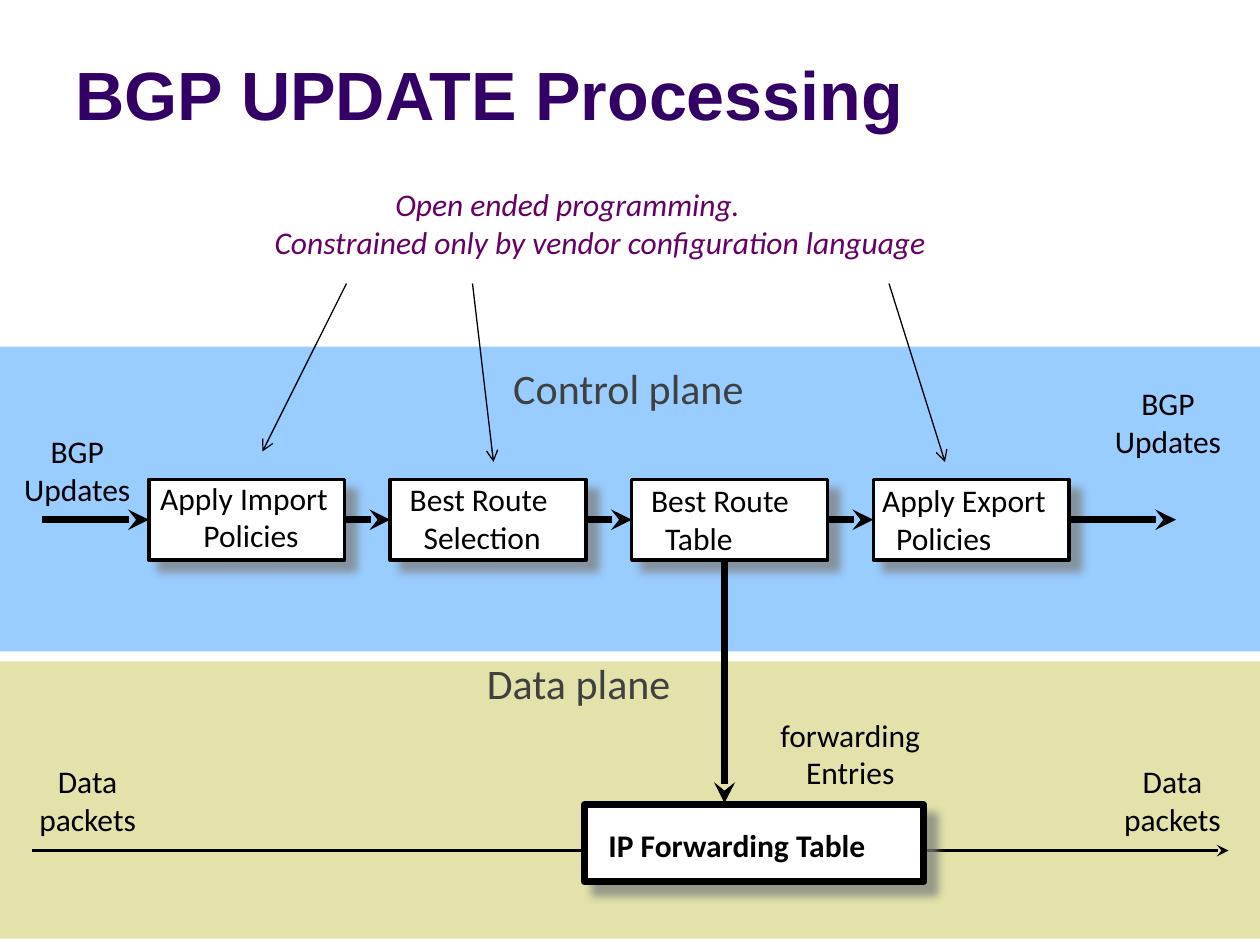
from lxml.etree import SubElement as Sub
from pptx import Presentation
from pptx.dml.color import RGBColor as RGB
from pptx.enum.shapes import MSO_CONNECTOR as Link, MSO_SHAPE as Shape
from pptx.enum.text import MSO_ANCHOR as Anchor, MSO_AUTO_SIZE as Fit, PP_ALIGN as Align
from pptx.oxml.ns import qn
from pptx.util import Pt

BLACK = RGB(0, 0, 0)
WHITE = RGB(255, 255, 255)
GRAY = RGB(0x40, 0x40, 0x40)
SHADE = RGB(0x80, 0x80, 0x80)
SKY = RGB(0x99, 0xCC, 0xFF)
SAND = RGB(0xE2, 0xE2, 0xAA)
INDIGO = RGB(0x33, 0x00, 0x66)
PLUM = RGB(0x66, 0x00, 0x66)


class Sketch:
    face = "Calibri"
    size = 18

    def __init__(self, slide):
        self.slide = slide
        self.shapes = slide.shapes

    def title(self, text, box):
        head = self.shapes.title
        head.left, head.top, head.width, head.height = map(Pt, box)
        frame = head.text_frame
        frame.text = text
        frame.auto_size = Fit.NONE
        frame.vertical_anchor = Anchor.BOTTOM
        para = frame.paragraphs[0]
        para.alignment = Align.LEFT
        self.style(para.font, "Arial", 39, INDIGO, bold=True)

    def style(self, font, face, size, color, bold=False, italic=False):
        font.name, font.size = face, Pt(size)
        font.bold, font.italic = bold, italic
        font.color.rgb = color

    def rect(self, box, fill, weight=0):
        rect = self.shapes.add_shape(Shape.RECTANGLE, *map(Pt, box))
        rect.shadow.inherit = False
        rect.fill.solid()
        rect.fill.fore_color.rgb = fill
        if weight:
            rect.line.color.rgb = BLACK
            rect.line.width = Pt(weight)
            self.shade(rect)
        else:
            rect.line.fill.background()
        return rect

    def shade(self, rect):
        glow = Sub(rect.element.spPr.find(qn("a:effectLst")), qn("a:outerShdw"),
                   blurRad=str(Pt(5)), dist=str(Pt(8.5)), dir="2700000",
                   algn="ctr", rotWithShape="0")
        tint = Sub(glow, qn("a:srgbClr"), val=str(SHADE))
        Sub(tint, qn("a:alpha"), val="75000")

    def label(self, text, box, align=Align.LEFT, size=size, color=BLACK,
              indents=(0, 0), **looks):
        frame = self.shapes.add_textbox(*map(Pt, box)).text_frame
        frame.text = text
        frame.word_wrap = False
        frame.auto_size = Fit.SHAPE_TO_FIT_TEXT
        for para, indent in zip(frame.paragraphs, indents):
            para.alignment = align
            self.style(para.font, self.face, size, color, **looks)
            if indent:
                para._p.get_or_add_pPr().set("marL", str(Pt(indent)))

    def arrow(self, start, end, weight, tip="stealth", source=None, target=None):
        line = self.shapes.add_connector(Link.STRAIGHT, *map(Pt, start + end))
        if source is not None:
            line.begin_connect(source, 3)
        if target is not None:
            line.end_connect(target, 1)
        line.line.color.rgb = BLACK
        line.line.width = Pt(weight)
        Sub(line.line._get_or_add_ln(), qn("a:tailEnd"), type=tip)
        Sub(line.element.spPr, qn("a:effectLst"))


def main():
    deck = Presentation()
    deck.slide_width, deck.slide_height = Pt(720), Pt(540)
    art = Sketch(deck.slides.add_slide(deck.slide_layouts[5]))

    art.title("BGP UPDATE Processing", (36, -12, 648, 92))
    art.rect((0, 378, 720, 158.4), SAND)
    art.arrow((18, 486), (702, 486), 2.25)
    art.rect((0, 198, 720, 174.2), SKY)

    left, pitch, top, width, height = 85, 138, 274, 112, 46
    mid = top + height / 2
    steps = [
        ("Apply Import\nPolicies", 83, 270, 113, Align.CENTER),
        ("Best Route\nSelection", 227, 270.7, 95, Align.LEFT),
        ("Best Route\nTable", 365, 271.4, 98.6, Align.LEFT),
        ("Apply Export\nPolicies", 497, 271.4, 109.4, Align.LEFT),
    ]
    boxes = []
    for i, (text, x, y, wide, align) in enumerate(steps):
        boxes.append(art.rect((left + i * pitch, top, width, height), WHITE, 2))
        art.label(text, (x, y, wide, 50.5), align, indents=(0, 8))

    for source, target in zip([None] + boxes, boxes + [None]):
        art.arrow((24, mid), (672, mid), 4, source=source, target=target)
    art.arrow((414, top + height), (414, 459), 4)

    for text, x, y, wide in [
        ("forwarding\nEntries", 438, 405.4, 95.8),
        ("BGP\nUpdates", 6, 243.4, 76.3),
        ("BGP\nUpdates", 629.3, 216, 76.3),
        ("Data\vpackets", 14.4, 432, 71.3),
        ("Data\vpackets", 634.3, 432, 71.3),
    ]:
        art.label(text, (x, y, wide, 51), Align.CENTER)

    art.rect((334, 460, 194, 44), WHITE, 4)
    art.label("IP Forwarding Table", (340.6, 468.7, 165, 29), bold=True)

    art.label("Open ended programming.\nConstrained only by vendor configuration language",
              (149.8, 102.2, 406, 51), color=PLUM, indents=(69, 0), italic=True)
    for x, end in [(198, (150, 258)), (270, (282, 264)), (508, (540, 264))]:
        art.arrow((x, 162), end, 0.75, "arrow")

    art.label("Data plane", (266.4, 372.2, 123.8, 36), Align.RIGHT, 24, GRAY)
    art.label("Control plane", (280.8, 203.8, 151.2, 36), Align.RIGHT, 24, GRAY)

    deck.save("out.pptx")


if __name__ == "__main__":
    main()
